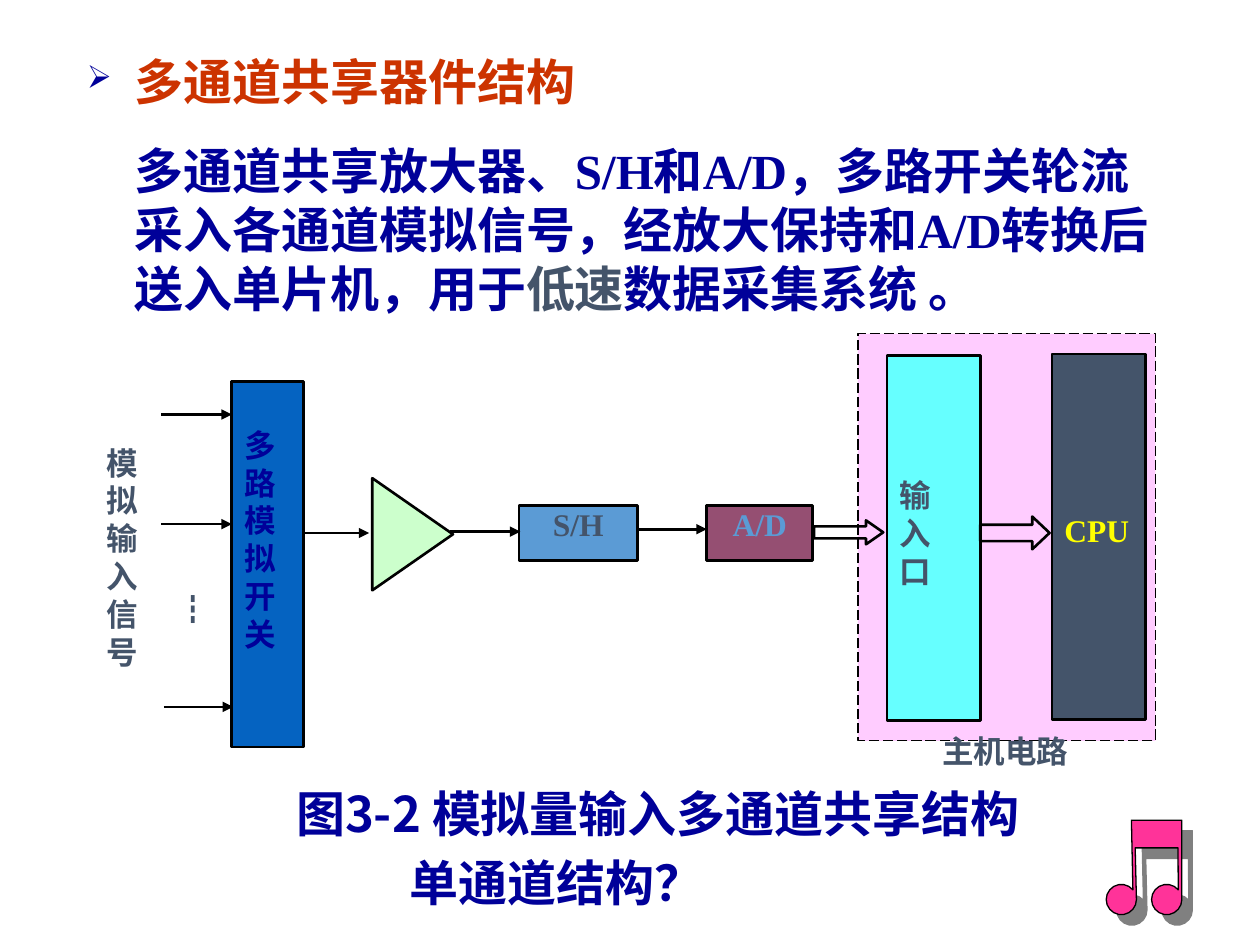
from dataclasses import dataclass
from math import cos, radians, sin

from lxml.etree import SubElement
from pptx import Presentation
from pptx.dml.color import RGBColor
from pptx.enum.dml import MSO_LINE_DASH_STYLE as Dash
from pptx.enum.shapes import MSO_CONNECTOR as Link, MSO_SHAPE as Form
from pptx.enum.text import MSO_ANCHOR as Anchor, PP_ALIGN as Align
from pptx.oxml.ns import qn
from pptx.util import Inches, Pt

HUES = {
    "black": "000000", "white": "FFFFFF", "navy": "000099", "red": "CC3300",
    "slate": "44546A", "pink": "FFCCFF", "cyan": "66FFFF", "sky": "5B9BD5",
    "plum": "954F72", "blue": "0563C1", "mint": "CCFFCC", "yellow": "FFFF00",
    "rose": "FF3399", "gray": "808080",
}
SERIF = "Times New Roman"
SANS = "Noto Sans CJK SC"


@dataclass
class Text:
    """Wording with its look and its left and top insets."""
    words: str | list[tuple[str, str]]
    hue: str = "slate"
    size: int = 18
    font: str = SERIF
    align: Align = Align.JUSTIFY
    side: float = 0.1
    top: float = 0.05
    hang: float = 0
    mark: str = ""


@dataclass
class Box:
    """One preset shape; a box without a form is a text box."""
    at: tuple[float, float, float, float]
    form: Form | None = Form.RECTANGLE
    fill: str = ""
    line: float = 1.5
    text: Text | None = None
    dash: bool = False
    turn: int = 0
    adjust: tuple[float, ...] = ()


@dataclass
class Arrow:
    """A level arrow from left to right."""
    left: float
    right: float
    y: float


def color(name: str) -> RGBColor:
    """Look up a colour by name."""
    return RGBColor.from_string(HUES[name])


def write(shape, text: Text) -> None:
    """Fill a shape with styled text."""
    frame = shape.text_frame
    frame.word_wrap = True
    frame.vertical_anchor = Anchor.TOP
    frame.margin_left = frame.margin_right = Inches(text.side)
    frame.margin_top, frame.margin_bottom = Inches(text.top), 0
    if isinstance(text.words, str):
        frame.text = text.words
    else:
        for words, hue in text.words:
            run = frame.paragraphs[0].add_run()
            run.text = words
            run.font.color.rgb = color(hue)
    for para in frame.paragraphs:
        para.alignment = text.align
        props = para._p.get_or_add_pPr()
        if text.hang:
            props.set("marL", str(Inches(text.hang)))
            props.set("indent", str(Inches(-text.hang if text.mark else 0)))
        if text.mark:
            tint = SubElement(props, qn("a:buClr"))
            SubElement(tint, qn("a:srgbClr"), val=HUES["navy"])
            SubElement(props, qn("a:buSzPct"), val="65000")
            SubElement(props, qn("a:buChar"), char=text.mark)
        font = para.font
        font.name, font.size, font.bold = text.font, Pt(text.size), True
        font.color.rgb = color(text.hue)


def paint(shape, fill: str, line: float) -> None:
    """Set fill and outline and drop the theme shadow."""
    shape.shadow.inherit = False
    if fill:
        shape.fill.solid()
        shape.fill.fore_color.rgb = color(fill)
    else:
        shape.fill.background()
    if line:
        shape.line.color.rgb = color("black")
        shape.line.width = Pt(line)
    else:
        shape.line.fill.background()


def draw_box(slide, box: Box) -> None:
    """Draw a preset shape or a text box."""
    place = [Inches(v) for v in box.at]
    if box.form is None:
        shape = slide.shapes.add_textbox(*place)
    else:
        shape = slide.shapes.add_shape(box.form, *place)
        paint(shape, box.fill, box.line)
        shape.rotation = box.turn
        for i, value in enumerate(box.adjust):
            shape.adjustments[i] = value
        if box.dash:
            shape.line.dash_style = Dash.LONG_DASH
    if box.text:
        write(shape, box.text)


def draw_arrow(slide, arrow: Arrow) -> None:
    """Draw a line with an arrowhead at its right end."""
    y = Inches(arrow.y)
    link = slide.shapes.add_connector(
        Link.STRAIGHT, Inches(arrow.left), y, Inches(arrow.right), y)
    link.line.color.rgb = color("black")
    link.line.width = Pt(1.5)
    SubElement(link.line._get_or_add_ln(), qn("a:tailEnd"), type="triangle")
    SubElement(link._element.spPr, qn("a:effectLst"))


def head(x: float, y: float, r: float) -> list[tuple[float, float]]:
    """Trace a note head from its stem around to its right edge."""
    turns = [radians(-40 - 20 * i) for i in range(17)]
    return [(x + r * cos(t), y + r * sin(t)) for t in turns]


def draw_note(slide) -> None:
    """Draw the paired music note with its shadow."""
    spots = [(8.98, 6.51), *head(8.9, 7.14, 0.12), (9.01, 6.73), (9.35, 6.73),
             *head(9.26, 7.14, 0.12), (9.38, 6.51)]
    dots = [(Inches(x), Inches(y)) for x, y in spots]
    pen = slide.shapes.build_freeform(*dots[0], scale=1.0)
    pen.add_line_segments(dots[1:], close=True)
    note = pen.convert_to_shape()
    paint(note, "rose", 0.75)
    effect = note._element.spPr.find(qn("a:effectLst"))
    shade = SubElement(effect, qn("a:outerShdw"), dist=str(Pt(8.5)),
                       dir="2700000", algn="ctr", rotWithShape="0")
    SubElement(shade, qn("a:srgbClr"), val=HUES["gray"])


def label(words: str, hue: str = "slate") -> Text:
    """Make a centred label without insets."""
    return Text(words, hue, align=Align.CENTER, side=0, top=0)


def title(words: str) -> Text:
    """Make a centred caption."""
    return Text(words, "navy", 28, SANS, Align.CENTER)


BODY = [
    ("多通道共享放大器、S/H和A/D，多路开关轮流采入各通道模拟信号，"
     "经放大保持和A/D转换后送入单片机，用于", "navy"),
    ("低速", "slate"),
    ("数据采集系统 。", "navy"),
]
PARTS = [
    Box((6.81, 2.65, 2.36, 3.23), fill="pink", line=0.75, dash=True),
    Box((0.59, 0.36, 8.19, 0.65), None, text=Text(
        "多通道共享器件结构", "red", 28, align=Align.LEFT, hang=0.38, mark="➢")),
    Arrow(2.41, 2.93, 4.23),
    Box((7.15, 5.81, 1.66, 0.39), None, text=label("主机电路")),
    Box((7.04, 2.82, 0.74, 2.9), fill="cyan", text=Text("输\n入\n口", top=0.96)),
    Box((1.41, 4.68, 0.37, 0.77), None, text=Text("┇", font=SANS, side=0, top=0)),
    Arrow(1.28, 1.84, 3.29),
    Arrow(1.28, 1.84, 4.16),
    Arrow(1.3, 1.85, 5.61),
    Box((0.75, 3.17, 0.55, 2.71), None, text=Text("模拟输入信号", top=0.35)),
    Box((4.12, 4.01, 0.94, 0.44), fill="sky", text=label("S/H")),
    Arrow(5.06, 5.61, 4.2),
    Box((5.61, 4.01, 0.84, 0.44), fill="plum", text=label("A/D", "sky")),
    Box((6.46, 4.13, 0.55, 0.19), Form.RIGHT_ARROW, adjust=(0.5, 0.72)),
    Box((8.35, 2.81, 0.74, 2.9), fill="slate",
        text=Text("CPU", "yellow", top=1.25)),
    Box((7.78, 4.1, 0.55, 0.26), Form.RIGHT_ARROW, adjust=(0.5, 0.53)),
    Box((1.84, 3.03, 0.57, 2.9), fill="blue",
        text=Text("多路模拟开关", "navy", top=0.35)),
    Box((2.83, 3.92, 0.89, 0.64), Form.FLOWCHART_MERGE, "mint", turn=270),
    Arrow(3.57, 4.13, 4.22),
    Box((2.03, 6.17, 6.38, 0.57), fill="white", line=0,
        text=title("图3-2 模拟量输入多通道共享结构")),
    Box((0.59, 1.07, 8.82, 1.57), fill="white", line=0,
        text=Text(BODY, "navy", 28, align=Align.LEFT, hang=0.38)),
    Box((3.05, 6.72, 2.73, 0.57), fill="white", line=0,
        text=title("单通道结构？")),
]


def main() -> None:
    """Build and save the slide."""
    deck = Presentation()
    deck.slide_width, deck.slide_height = Inches(10), Inches(7.5)
    slide = deck.slides.add_slide(deck.slide_layouts[6])
    for part in PARTS:
        (draw_arrow if isinstance(part, Arrow) else draw_box)(slide, part)
    draw_note(slide)
    deck.save("out.pptx")


if __name__ == "__main__":
    main()
